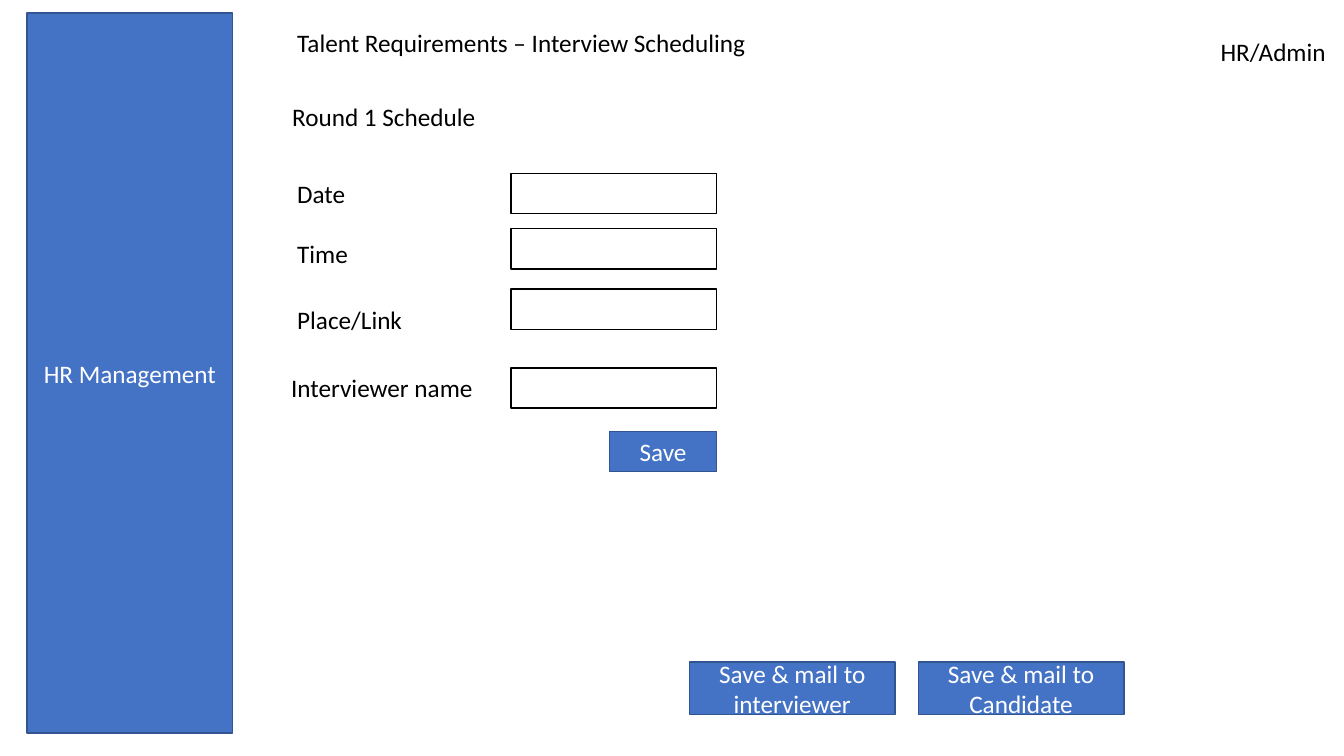
from pptx import Presentation
from pptx.util import Pt
from pptx.dml.color import RGBColor
from pptx.enum.shapes import MSO_SHAPE as SHAPE
from pptx.enum.text import PP_ALIGN as ALIGN, MSO_ANCHOR as ANCHOR, MSO_AUTO_SIZE as AUTO

BLUE, NAVY, WHITE, BLACK = "4472C4", "325491", "FFFFFF", "000000"
FONT = {"name": "Calibri", "size": Pt(18)}
LABEL_H = FIELD_H = 28.8
FIELD_X, FIELD_W = 365, 146.9
MAIL_X, MAIL_Y, MAIL_H, MAIL_STEP = 492.5, 473, 37.5, 163.4
SAVE_W, SAVE_Y = 76.5, 308.2

HEADINGS = [
    ("Talent Requirements – Interview Scheduling", 205.2, 15.8, 355),
    ("HR/Admin", 864.7, 22.3, 92.2),
    ("Round 1 Schedule", 201.6, 69.1, 253.4),
]
FIELDS = [
    ("Date", 205.2, 123.8, 76.3, 123.8),
    ("Time", 205.2, 167, 64.8, 163.4),
    ("Place/Link", 205.2, 213.5, 102.2, 206.6),
    ("Interviewer name", 200.9, 262.1, 163.4, 262.8),
]
SIDEBAR = ("HR Management", 19.4, 9.4, FIELD_W, 514.1)
MAIL_BUTTONS = ["Save & mail to interviewer", "Save & mail to Candidate"]


def rgb(value):
    return RGBColor.from_string(value)


def write(tf, text, color, align):
    p = tf.paragraphs[0]
    p.alignment = align
    r = p.add_run()
    r.text = text
    for key, value in FONT.items():
        setattr(r.font, key, value)
    r.font.color.rgb = rgb(color)


def label(s, text, x, y, w):
    tf = s.shapes.add_textbox(Pt(x), Pt(y), Pt(w), Pt(LABEL_H)).text_frame
    for key, value in {"word_wrap": True, "auto_size": AUTO.SHAPE_TO_FIT_TEXT}.items():
        setattr(tf, key, value)
    write(tf, text, BLACK, ALIGN.LEFT)


def box(s, x, y, w, h, fill, line):
    sp = s.shapes.add_shape(SHAPE.RECTANGLE, Pt(x), Pt(y), Pt(w), Pt(h))
    sp.shadow.inherit = False
    sp.fill.solid()
    sp.fill.fore_color.rgb = rgb(fill)
    sp.line.color.rgb = rgb(line)
    sp.line.width = Pt(1)
    return sp


def button(s, text, x, y, w, h):
    tf = box(s, x, y, w, h, BLUE, NAVY).text_frame
    for key, value in {"word_wrap": True, "vertical_anchor": ANCHOR.MIDDLE}.items():
        setattr(tf, key, value)
    write(tf, text, WHITE, ALIGN.CENTER)


def main():
    prs = Presentation()
    prs.slide_width, prs.slide_height = Pt(960), Pt(540)
    s = prs.slides.add_slide(prs.slide_layouts[6])
    button(s, *SIDEBAR)
    for heading in HEADINGS:
        label(s, *heading)
    for text, x, y, w, field_y in FIELDS:
        label(s, text, x, y, w)
        box(s, FIELD_X, field_y, FIELD_W, FIELD_H, WHITE, BLACK)
    button(s, "Save", FIELD_X + FIELD_W - SAVE_W, SAVE_Y, SAVE_W, FIELD_H)
    for i, text in enumerate(MAIL_BUTTONS):
        button(s, text, MAIL_X + i * MAIL_STEP, MAIL_Y, FIELD_W, MAIL_H)
    prs.save("out.pptx")


if __name__ == "__main__":
    main()
